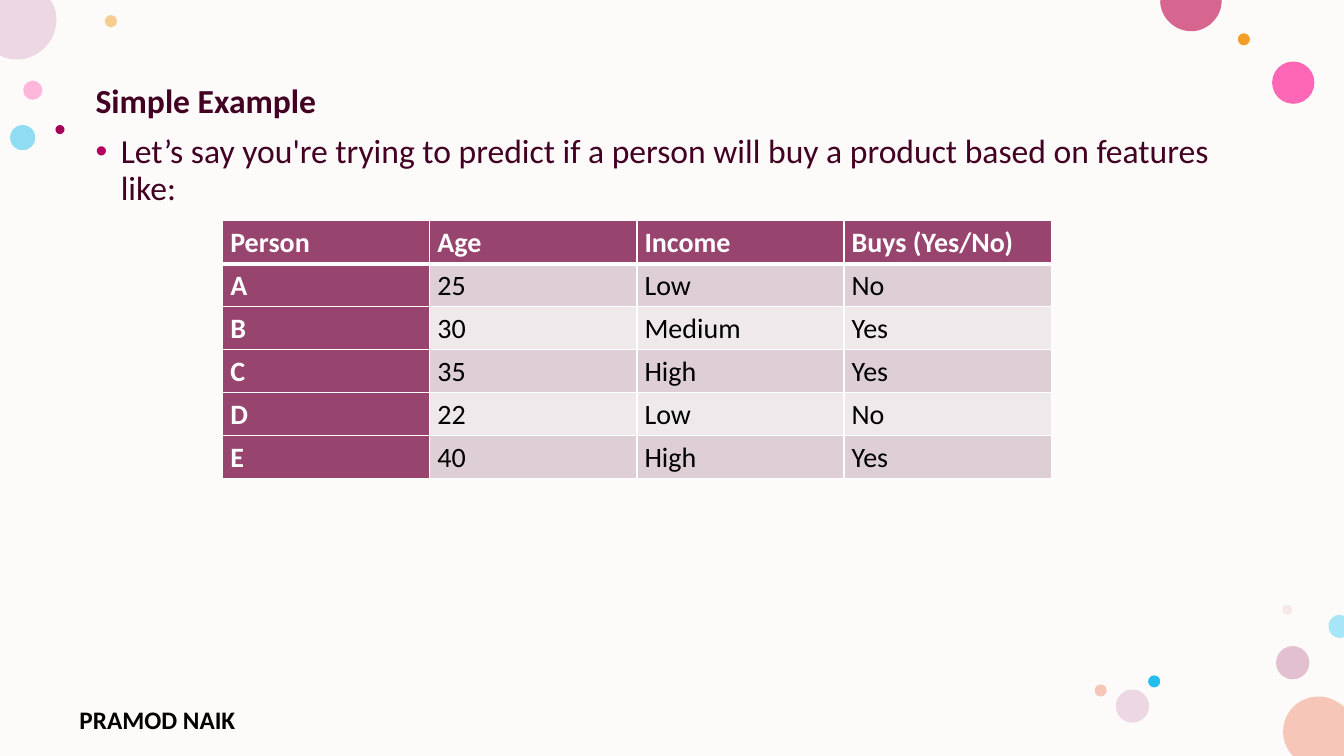
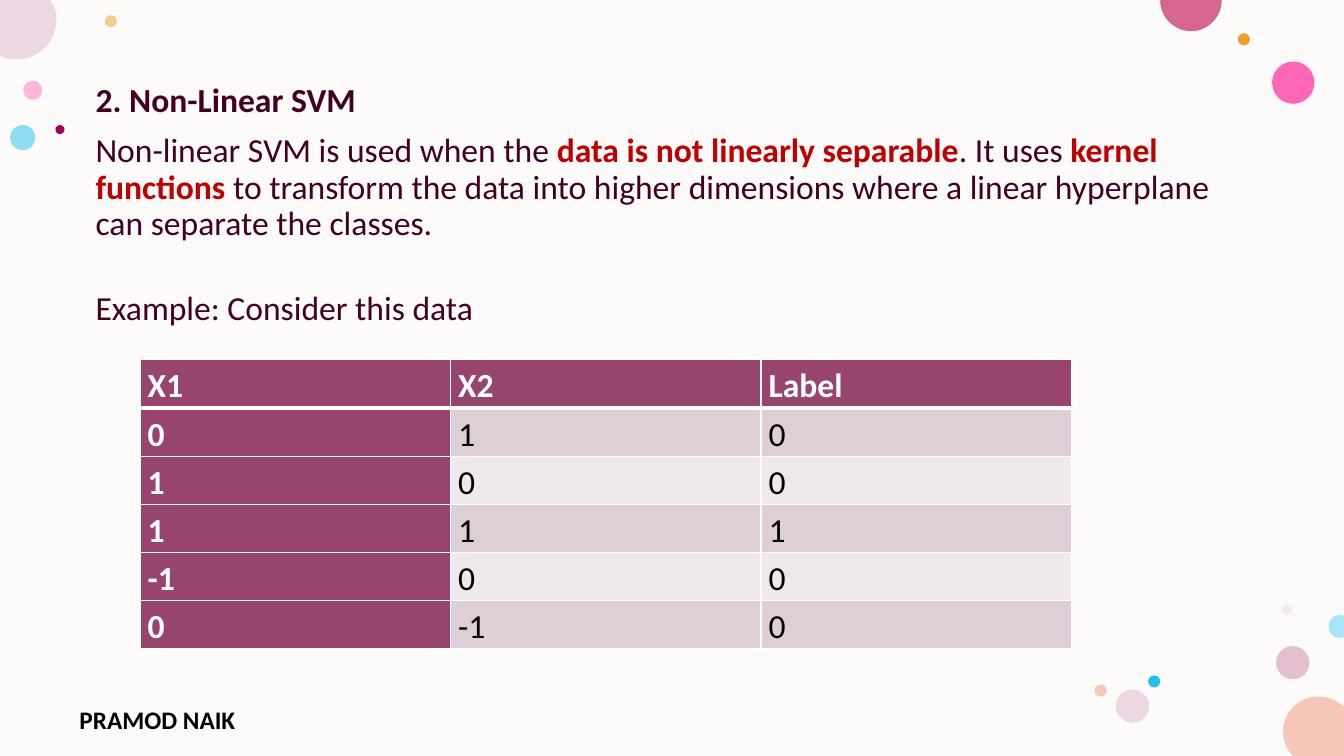
from lxml.etree import SubElement
from pptx import Presentation
from pptx.dml.color import RGBColor
from pptx.enum.shapes import MSO_SHAPE
from pptx.enum.text import MSO_AUTO_SIZE
from pptx.oxml.ns import qn
from pptx.util import Inches, Pt

SLIDE_WIDTH = 40 / 3
SLIDE_HEIGHT = 7.5
FONT = "Calibri"
COLORS = {
    "background": "FDFBF9",
    "text": "420023",
    "emphasis": "C00000",
    "bullet": "B1005E",
    "black": "000000",
    "white": "FFFFFF",
    "header": "97446E",
    "odd_row": "DDCFD5",
    "even_row": "EFE9EB",
    "pink": "FF75BD",
    "orange": "F39E29",
    "mauve": "C987A8",
    "blue": "24BEEE",
    "hot_pink": "FF2F9C",
    "blush": "E3BEBE",
    "lilac": "EDD7E2",
    "peach": "F6C7B9",
    "rose": "D6658F",
    "plum": "A40056",
    "pale_blue": "A7E5F8",
}
DOTS = [
    (0.23, 0.8, 0.19, "pink", 50),
    (1.04, 0.15, 0.12, "orange", 50),
    (12.66, 6.41, 0.33, "mauve", 50),
    (0.1, 1.24, 0.25, "blue", 50),
    (12.62, 0.61, 0.42, "hot_pink", 72),
    (12.28, 0.33, 0.12, "orange", 100),
    (12.72, 6, 0.1, "blush", 28),
    (11.39, 6.7, 0.12, "blue", 100),
    (11.07, 6.84, 0.33, "lilac", 100),
    (10.86, 6.79, 0.12, "peach", 100),
    (0.55, 1.24, 0.09, "plum", 100),
]
EDGE_DOTS = [
    ("peach", (13.08, 6.91), [
        [(13.18, 6.91), (13.26, 6.95), (SLIDE_WIDTH, 7.01)],
        [(SLIDE_WIDTH, 7.5)],
        [(12.83, 7.5)],
        [(12.81, 7.48)],
        [(12.76, 7.42), (12.73, 7.34), (12.73, 7.26)],
        [(12.73, 7.06), (12.89, 6.91), (13.08, 6.91)],
    ]),
    ("lilac", (0, 0), [
        [(0.5, 0)],
        [(0.53, 0.05)],
        [(0.55, 0.09), (0.56, 0.14), (0.56, 0.2)],
        [(0.56, 0.41), (0.38, 0.59), (0.17, 0.59)],
        [(0.11, 0.59), (0.06, 0.58), (0.02, 0.56)],
        [(0, 0.55)],
    ]),
    ("rose", (11.52, 0), [
        [(12.12, 0)],
        [(12.12, 0.01)],
        [(12.12, 0.17), (11.98, 0.31), (11.82, 0.31)],
        [(11.65, 0.31), (11.51, 0.17), (11.51, 0.01)],
    ]),
    ("pale_blue", (13.29, 6.1), [
        [(SLIDE_WIDTH, 6.11)],
        [(SLIDE_WIDTH, 6.32)],
        [(13.29, 6.33)],
        [(13.23, 6.33), (13.18, 6.28), (13.18, 6.21)],
        [(13.18, 6.15), (13.23, 6.1), (13.29, 6.1)],
    ]),
]


def rgb(name):
    return RGBColor.from_string(COLORS[name])


def paint(shape, color, opacity=100):
    shape.shadow.inherit = False
    shape.line.fill.background()
    shape.fill.solid()
    shape.fill.fore_color.rgb = rgb(color)
    if opacity < 100:
        color_element = shape.fill._xPr.find(".//" + qn("a:srgbClr"))
        SubElement(color_element, qn("a:alpha"), val=str(opacity * 1000))


def add_figure(slide, preset, left, top, width, height, color, opacity=100):
    shape = slide.shapes.add_shape(
        preset, Inches(left), Inches(top), Inches(width), Inches(height)
    )
    paint(shape, color, opacity)


def add_edge_dot(slide, color, start, segments):
    builder = slide.shapes.build_freeform(*map(Inches, start))
    builder.add_line_segments(
        [(Inches(x), Inches(y)) for segment in segments for x, y in segment],
        close=True,
    )
    shape = builder.convert_to_shape()
    lines = iter(shape._element.findall(".//" + qn("a:lnTo")))
    for segment in segments:
        steps = [next(lines) for point in segment]
        if len(steps) == 3:
            outline = steps[0].getparent()
            curve = SubElement(outline, qn("a:cubicBezTo"))
            outline.replace(steps[0], curve)
            for step in steps:
                curve.append(step[0])
            for step in steps[1:]:
                outline.remove(step)
    paint(shape, color)


def add_bullet(paragraph):
    properties = paragraph._p.get_or_add_pPr()
    properties.set("marL", str(Inches(0.25)))
    properties.set("indent", str(-Inches(0.25)))
    bullet_color = SubElement(properties, qn("a:buClr"))
    SubElement(bullet_color, qn("a:srgbClr"), val=COLORS["bullet"])
    SubElement(properties, qn("a:buFont"), typeface="Arial")
    SubElement(properties, qn("a:buChar"), char="•")


def write_text(paragraph, text, size=24, color="text", bold=False,
               line_spacing=0.9, space_before=0, space_after=0):
    paragraph.line_spacing = line_spacing
    paragraph.space_before = Pt(space_before)
    paragraph.space_after = Pt(space_after)
    run = paragraph.add_run()
    run.text = text
    run.font.name = FONT
    run.font.size = Pt(size)
    run.font.bold = bold
    run.font.color.rgb = rgb(color)


def add_text_frame(slide, left, top, width, height):
    box = slide.shapes.add_textbox(
        Inches(left), Inches(top), Inches(width), Inches(height)
    )
    box.text_frame.word_wrap = True
    return box.text_frame


def add_body(slide, title, top):
    frame = add_text_frame(slide, 0.85, top, 11.66, 5.97)
    write_text(frame.paragraphs[0], title, bold=True)
    return frame


def add_borders(cell, top_width, bottom_width):
    properties = cell._tc.get_or_add_tcPr()
    widths = {"lnL": 1, "lnR": 1, "lnT": top_width, "lnB": bottom_width}
    for side, width in widths.items():
        line = SubElement(properties, qn("a:" + side), w=str(Pt(width)))
        fill = SubElement(line, qn("a:solidFill"))
        SubElement(fill, qn("a:srgbClr"), val=COLORS["white"])


def add_data_table(slide, rows, left, top, width, height, size):
    table = slide.shapes.add_table(
        len(rows), len(rows[0]), Inches(left), Inches(top),
        Inches(width), Inches(height),
    ).table
    table.first_col = True
    for row_index, values in enumerate(rows):
        band = "odd_row" if row_index % 2 else "even_row"
        for column_index, value in enumerate(values):
            cell = table.cell(row_index, column_index)
            heading = row_index == 0 or column_index == 0
            cell.margin_left = cell.margin_right = Pt(5.4)
            cell.margin_top = cell.margin_bottom = 0
            add_borders(
                cell, 3 if row_index == 1 else 1, 3 if row_index == 0 else 1
            )
            cell.fill.solid()
            cell.fill.fore_color.rgb = rgb("header" if heading else band)
            write_text(
                cell.text_frame.paragraphs[0], value, size=size, bold=heading,
                color="white" if heading else "black", line_spacing=1.15,
                space_after=8,
            )


def add_base_slide(presentation):
    slide = presentation.slides.add_slide(presentation.slide_layouts[6])
    add_figure(slide, MSO_SHAPE.RECTANGLE, 0, 0, SLIDE_WIDTH, SLIDE_HEIGHT,
               "background")
    for left, top, diameter, color, opacity in DOTS:
        add_figure(slide, MSO_SHAPE.OVAL, left, top, diameter, diameter,
                   color, opacity)
    for color, start, segments in EDGE_DOTS:
        add_edge_dot(slide, color, start, segments)
    footer = add_text_frame(slide, 0.69, 6.94, 2.45, 0.32)
    footer.auto_size = MSO_AUTO_SIZE.SHAPE_TO_FIT_TEXT
    write_text(footer.paragraphs[0], "PRAMOD NAIK", size=18, color="black",
               bold=True, line_spacing=1.0)
    return slide


def build_example_slide(presentation):
    slide = add_base_slide(presentation)
    body = add_body(slide, "Simple Example", top=0.79)
    paragraph = body.add_paragraph()
    add_bullet(paragraph)
    write_text(
        paragraph,
        "Let’s say you're trying to predict if a person will buy a product "
        "based on features like:",
        space_before=10,
    )
    rows = [
        ("Person", "Age", "Income", "Buys (Yes/No)"),
        ("A", "25", "Low", "No"),
        ("B", "30", "Medium", "Yes"),
        ("C", "35", "High", "Yes"),
        ("D", "22", "Low", "No"),
        ("E", "40", "High", "Yes"),
    ]
    add_data_table(slide, rows, left=2.21, top=2.19, width=8.22, height=2.56,
                   size=20)


def build_svm_slide(presentation):
    slide = add_base_slide(presentation)
    body = add_body(slide, "2. Non-Linear SVM", top=0.78)
    paragraph = body.add_paragraph()
    parts = [
        ("Non-linear SVM is used when the ", False),
        ("data is not linearly separable", True),
        (". It uses ", False),
        ("kernel functions", True),
        (" to transform the data into higher dimensions where a linear "
         "hyperplane can separate the classes.", False),
    ]
    for text, emphasized in parts:
        write_text(paragraph, text, bold=emphasized, space_before=10,
                   color="emphasis" if emphasized else "text")
    write_text(body.add_paragraph(), "Example: Consider this data",
               space_before=35)
    rows = [
        ("X1", "X2", "Label"),
        ("0", "1", "0"),
        ("1", "0", "0"),
        ("1", "1", "1"),
        ("-1", "0", "0"),
        ("0", "-1", "0"),
    ]
    add_data_table(slide, rows, left=1.39, top=3.57, width=9.24, height=2.87,
                   size=24)


def main():
    presentation = Presentation()
    presentation.slide_width = Inches(SLIDE_WIDTH)
    presentation.slide_height = Inches(SLIDE_HEIGHT)
    build_example_slide(presentation)
    build_svm_slide(presentation)
    presentation.save("out.pptx")


if __name__ == "__main__":
    main()
